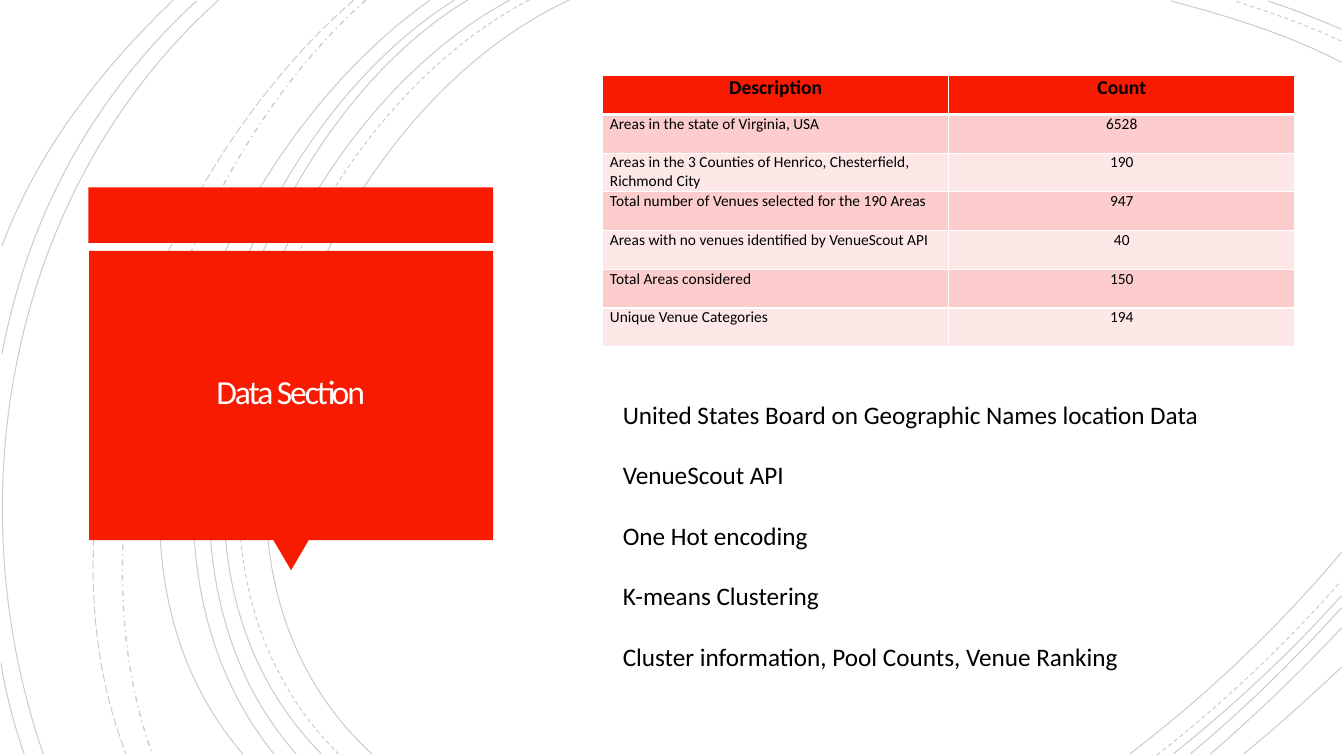
from dataclasses import dataclass
from lxml.etree import SubElement as Sub
from pptx import Presentation
from pptx.dml.color import RGBColor as Rgb
from pptx.enum.dml import MSO_LINE_DASH_STYLE as Dash
from pptx.enum.shapes import MSO_SHAPE as Kind
from pptx.enum.text import MSO_ANCHOR as Anchor, MSO_AUTO_SIZE as Auto, PP_ALIGN as Align
from pptx.oxml.ns import qn
from pptx.util import Cm, Pt


@dataclass(frozen=True)
class Theme:
    font: str = "Calibri"
    red: str = "F81B02"
    bands: tuple = ("FCCDCC", "FEE8E7")
    ink: str = "000000"
    pale: str = "FFFEFF"
    edge: str = "FFFFFF"
    title: int = 24
    body: int = 18
    head: int = 14
    cell: int = 11


THEME = Theme()
INCH = 2.54

ARCS = {
    Dash.SOLID: [
        (5.65, 0, 3.15, 1.15, 1.43, 5.4, 3.69, 7.48),
        (5.06, 0, 2.7, 1.27, 1.1, 5.37, 3.19, 7.48),
        (4.64, 0, 2.44, 1.33, 1.1, 5.41, 2.94, 7.48),
        (4.51, 0, 2.31, 1.38, 0.97, 5.33, 2.72, 7.48),
        (4.27, 0, 2.17, 1.47, 0.53, 5.29, 2.41, 7.48),
        (2.17, 0, 0.11, 1.85, -0.46, 4.9, 0.43, 7.48),
        (1.95, 0.01, 0.92, 0.96, 0.28, 2.14, 0.02, 3.51),
        (0.01, 6.58, 0.06, 6.89, 0.14, 7.19, 0.24, 7.48),
        (1.72, 0, 1, 0.69, 0.37, 1.5, 0.02, 2.44),
        (13.31, 0.62, 12.78, 0.34, 12.18, 0.16, 11.62, 0.01),
        (13.31, 0.29, 13.07, 0.19, 12.83, 0.09, 12.58, 0.01),
        (11.21, 7.48, 11.97, 6.9, 12.69, 6.22, 13.31, 5.48),
        (11.64, 7.48, 12.23, 7.01, 12.8, 6.48, 13.31, 5.91),
        (11.81, 7.48, 12.34, 7.04, 12.84, 6.55, 13.31, 6.03),
        (12.01, 7.48, 12.46, 7.09, 12.9, 6.67, 13.31, 6.23),
        (12.34, 7.48, 12.67, 7.21, 12.99, 6.92, 13.31, 6.62),
    ],
    Dash.DASH: [
        (5.25, 0, 2.85, 1.25, 1.23, 5.37, 3.36, 7.48),
        (13.31, 0.41, 12.97, 0.25, 12.6, 0.12, 12.25, 0.01),
        (11.48, 7.49, 12.13, 6.98, 12.75, 6.4, 13.3, 5.77),
    ],
    Dash.DASH_DOT: [(3.63, 0, 1.76, 1.66, 0.65, 5.09, 1.51, 7.48)],
    Dash.LONG_DASH: [(3.51, 0, 1.57, 1.69, 0.29, 4.99, 1.25, 7.48)],
}

ROWS = [
    ("Description", "Count"),
    ("Areas in the state of Virginia, USA", "6528"),
    ("Areas in the 3 Counties of Henrico, Chesterfield, Richmond City", "190"),
    ("Total number of Venues selected for the 190 Areas", "947"),
    ("Areas with no venues identified by VenueScout API", "40"),
    ("Total Areas considered", "150"),
    ("Unique Venue Categories", "194"),
]

TOPICS = [
    "United States Board on Geographic Names location Data",
    "VenueScout API",
    "One Hot encoding",
    "K-means Clustering",
    "Cluster information, Pool Counts, Venue Ranking",
]


def color(code):
    return Rgb.from_string(code)


def style(para, size, code, bold=False):
    for run in para.runs:
        font = run.font
        font.name, font.size, font.bold = THEME.font, Pt(size), bold
        font.color.rgb = color(code)


def place(shape, left, top, width, height):
    shape.left, shape.top = Cm(left), Cm(top)
    shape.width, shape.height = Cm(width), Cm(height)


def bend(shape):
    legs = list(shape._element.iter(qn("a:lnTo")))
    route = legs[0].getparent()
    curve = Sub(route, qn("a:cubicBezTo"))
    for leg in legs:
        curve.append(leg[0])
        route.remove(leg)


def draw_arc(slide, arc, dash):
    spots = [Cm(INCH * value) for value in arc]
    points = list(zip(spots[::2], spots[1::2]))
    form = slide.shapes.build_freeform(*points[0])
    form.add_line_segments(points[1:], close=False)
    shape = form.convert_to_shape()
    bend(shape)
    shape.shadow.inherit = False
    shape.fill.background()
    line = shape.line
    line.color.rgb = color(THEME.ink)
    line.width = Pt(1 if dash == Dash.DASH_DOT else 0.75)
    line.dash_style = dash
    tone = shape._element.spPr.find(".//" + qn("a:srgbClr"))
    Sub(tone, qn("a:alpha"), val="20000")


def add_block(slide, kind, *box):
    shape = slide.shapes.add_shape(kind, *map(Cm, box))
    shape.shadow.inherit = False
    shape.fill.solid()
    shape.fill.fore_color.rgb = color(THEME.red)
    shape.line.fill.background()
    return shape


def add_title(slide):
    title = slide.shapes.title
    slide.shapes._spTree.append(title._element)
    place(title, 2.46, 6.53, 9.73, 6.83)
    frame = title.text_frame
    frame.text = "Data Section"
    frame.word_wrap, frame.auto_size = True, Auto.NONE
    frame.vertical_anchor = Anchor.MIDDLE
    frame.margin_left = frame.margin_right = Cm(0.64)
    frame.margin_top = frame.margin_bottom = Cm(0.64)
    para = frame.paragraphs[0]
    para.alignment, para.line_spacing = Align.CENTER, 0.85
    style(para, THEME.title, THEME.pale)
    para.runs[0].font._element.set("spc", "-150")


def add_edge(cell, tag, width):
    line = Sub(cell._tc.get_or_add_tcPr(), qn("a:" + tag), w=str(Pt(width)))
    fill = Sub(line, qn("a:solidFill"))
    Sub(fill, qn("a:srgbClr"), val=THEME.edge)


def fill_cell(cell, text, row, col):
    head = row == 0
    cell.text = text
    cell.margin_left = cell.margin_right = Cm(0.18)
    cell.margin_top = cell.margin_bottom = 0
    cell.vertical_anchor = Anchor.TOP
    para = cell.text_frame.paragraphs[0]
    para.alignment = Align.CENTER if head or col else Align.LEFT
    style(para, THEME.head if head else THEME.cell, THEME.ink, head)
    for tag in ("lnL", "lnR", "lnT", "lnB"):
        thick = (row, tag) in ((0, "lnB"), (1, "lnT"))
        add_edge(cell, tag, 3 if thick else 1)
    cell.fill.solid()
    cell.fill.fore_color.rgb = color(THEME.red if head else THEME.bands[(row - 1) % 2])


def add_counts(slide):
    box = map(Cm, (15.19, 1.91, 17.44, 6.83))
    table = slide.shapes.add_table(len(ROWS), 2, *box).table
    for r, texts in enumerate(ROWS):
        for c, text in enumerate(texts):
            fill_cell(table.cell(r, c), text, r, c)


def add_topics(slide):
    body = slide.placeholders[1]
    slide.shapes._spTree.append(body._element)
    place(body, 15.44, 9.93, 16.94, 7.95)
    frame = body.text_frame
    frame.text = "\n".join(TOPICS)
    frame.word_wrap, frame.auto_size = True, Auto.NONE
    frame.vertical_anchor = Anchor.TOP
    for i, para in enumerate(frame.paragraphs):
        props = para._p.get_or_add_pPr()
        props.set("marL", "0")
        props.set("indent", "0")
        Sub(props, qn("a:buNone"))
        para.alignment = Align.LEFT
        para.space_before = Pt(21.6 if i else 0)
        style(para, THEME.body, THEME.ink)


def main():
    deck = Presentation()
    deck.slide_width, deck.slide_height = Cm(33.87), Cm(19.05)
    slide = deck.slides.add_slide(deck.slide_layouts[1])
    for dash, arcs in ARCS.items():
        for arc in arcs:
            draw_arc(slide, arc, dash)
    add_block(slide, Kind.RECTANGLE, 2.23, 4.72, 10.2, 1.4)
    add_block(slide, Kind.ISOSCELES_TRIANGLE, 6.89, 13.61, 0.89, 0.76).rotation = 180
    add_block(slide, Kind.RECTANGLE, 2.25, 6.32, 10.18, 7.29)
    add_title(slide)
    add_counts(slide)
    add_topics(slide)
    deck.save("out.pptx")


if __name__ == "__main__":
    main()
